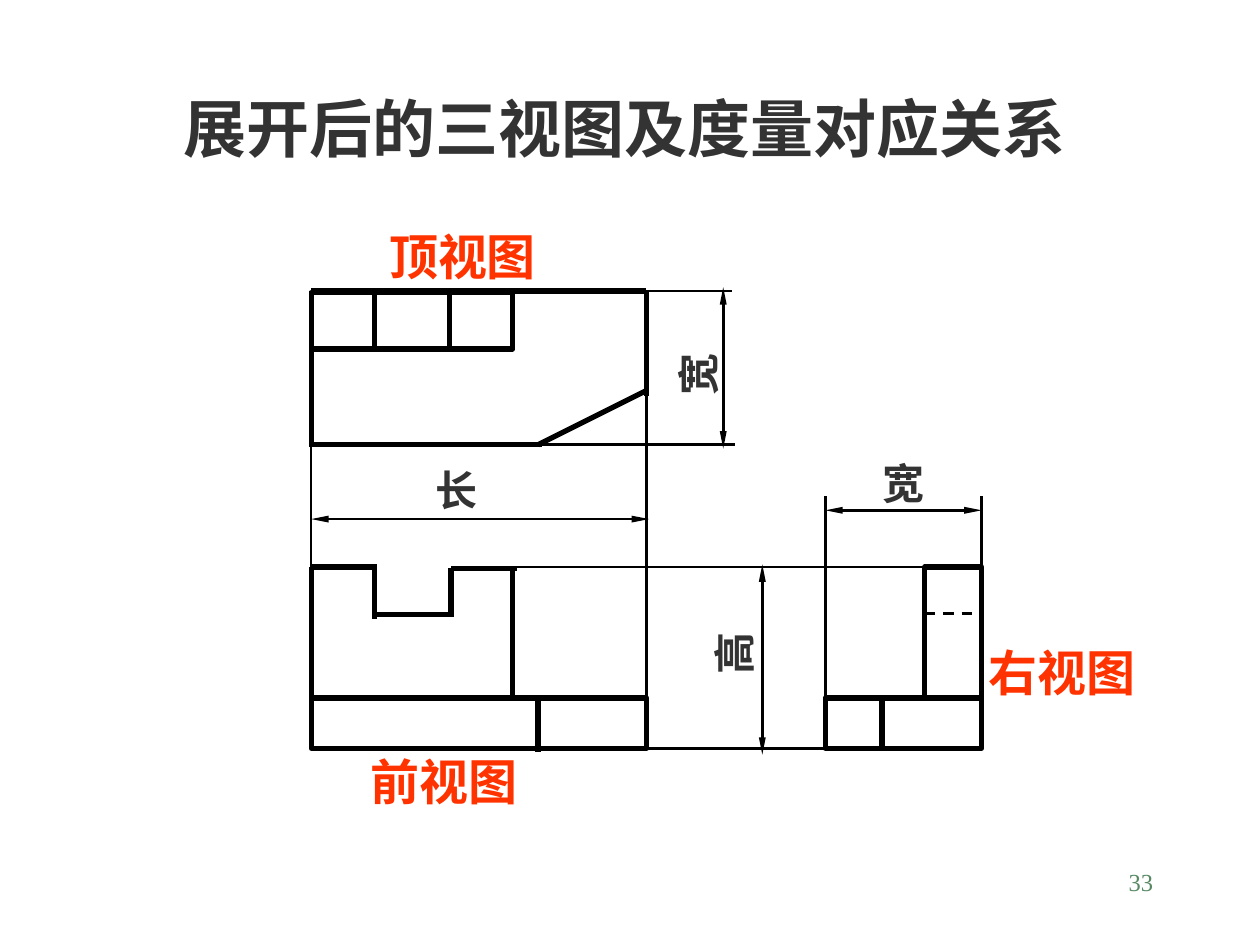
from dataclasses import dataclass

from lxml.etree import SubElement
from pptx import Presentation
from pptx.dml.color import RGBColor
from pptx.enum.dml import MSO_LINE_DASH_STYLE as Dash
from pptx.enum.shapes import MSO_CONNECTOR as Connector, MSO_SHAPE as Shape
from pptx.enum.text import MSO_ANCHOR as Anchor, PP_ALIGN as Align
from pptx.oxml.ns import qn
from pptx.util import Pt

PX = 9144  # EMU per px, 100 px to the inch


@dataclass(frozen=True)
class Theme:
    ink: str = "000000"
    text: str = "333333"
    accent: str = "FF3300"
    number: str = "578963"
    latin: str = "Times New Roman"
    cjk: str = "Noto Sans CJK SC"
    title_size: int = 36
    view_size: int = 28
    dimension_size: int = 24
    number_size: int = 14
    outline: float = 3
    thin: float = 1.5


class Drawing:
    def __init__(self, slide, theme):
        self.slide = slide
        self.theme = theme

    def line(self, x1, y1, x2, y2, width=None, dash=None, arrows=False):
        connector = self.slide.shapes.add_connector(
            Connector.STRAIGHT, x1 * PX, y1 * PX, x2 * PX, y2 * PX)
        connector.line.color.rgb = RGBColor.from_string(self.theme.ink)
        connector.line.width = Pt(width or self.theme.thin)
        if dash:
            connector.line.dash_style = dash
        if arrows:
            outline = connector.line._get_or_add_ln()
            for end in ("a:headEnd", "a:tailEnd"):
                SubElement(outline, qn(end), type="triangle", w="sm", len="lg")
        SubElement(connector._element.spPr, qn("a:effectLst"))

    def edge(self, *points):
        self.line(*points, width=self.theme.outline)

    def dimension(self, *points):
        self.line(*points, arrows=True)

    def rectangle(self, left, top, width, height):
        shape = self.slide.shapes.add_shape(
            Shape.RECTANGLE, left * PX, top * PX, width * PX, height * PX)
        shape.shadow.inherit = False
        shape.fill.background()
        shape.line.color.rgb = RGBColor.from_string(self.theme.ink)
        shape.line.width = Pt(self.theme.outline)

    def text(self, words, left, top, width, height, size, color, bold=True,
             align=Align.LEFT, anchor=Anchor.MIDDLE, wrap=True, rotation=0,
             latin=None):
        box = self.slide.shapes.add_textbox(
            left * PX, top * PX, width * PX, height * PX)
        box.rotation = rotation
        frame = box.text_frame
        frame.word_wrap = wrap
        frame.vertical_anchor = anchor
        frame.text = words
        paragraph = frame.paragraphs[0]
        paragraph.alignment = align
        font = paragraph.runs[0].font
        font.size = Pt(size)
        font.bold = bold
        font.color.rgb = RGBColor.from_string(color)
        font.name = latin or self.theme.latin
        SubElement(font._element, qn("a:ea"), typeface=self.theme.cjk)

    def view_label(self, words, left, top, width=137, **options):
        self.text(words, left, top, width, 57, self.theme.view_size,
                  self.theme.accent, **options)

    def dimension_label(self, words, left, top, rotation=0):
        self.text(words, left, top, 54, 50, self.theme.dimension_size,
                  self.theme.text, align=Align.CENTER, wrap=False,
                  rotation=rotation)


def main():
    presentation = Presentation()
    presentation.slide_width = 1000 * PX
    presentation.slide_height = 750 * PX
    slide = presentation.slides.add_slide(presentation.slide_layouts[6])
    theme = Theme()
    drawing = Drawing(slide, theme)

    # Page number
    drawing.text("33", 717, 683, 208, 50, theme.number_size, theme.number,
                 bold=False, align=Align.RIGHT, anchor=Anchor.TOP)

    # Edges shared by the views
    left, notch_left, notch_right, block_right, right = 247, 297, 358, 407, 513
    back, front = 231, 353
    top, step, bottom = 450, 554, 594
    side_left, side_step, side_right = 655, 734, 779

    # Front view
    drawing.edge(notch_left - 1, 488, notch_right + 1, 488)
    drawing.rectangle(left, step, right - left, bottom - step)
    drawing.edge(left, step, left, top)
    drawing.edge(left - 1, top, notch_left + 2, top)
    drawing.edge(notch_left, top, notch_left, 491)
    drawing.edge(notch_right, 451, notch_right, 490)
    drawing.edge(notch_right, 451, block_right + 3, 451)
    drawing.edge(block_right, top, block_right, step)
    drawing.edge(427, step, 427, 597)
    drawing.view_label("前视图", 284, 591, wrap=False, latin=theme.cjk)

    # Top view
    drawing.edge(left, back, left, front + 2)
    drawing.edge(left, front, 430, front)
    drawing.edge(left, back, right, back)
    drawing.edge(right, back - 1, right, 314)
    drawing.edge(right, 310, 427, front)
    drawing.rectangle(left, 232, block_right - left, 45)
    drawing.edge(357, 233, 357, 278)
    drawing.edge(notch_left, 232, notch_left, 277)
    drawing.view_label("顶视图", 299, 175, width=184)

    # Right view
    drawing.rectangle(side_left, step, side_right - side_left, bottom - step)
    drawing.rectangle(side_step, top, side_right - side_step, step - top)
    drawing.edge(700, bottom, 700, step)
    drawing.line(side_step, 487, side_right, 487, dash=Dash.DASH)
    drawing.view_label("右视图", 775, 505, wrap=False)

    # Length
    drawing.line(left, 351, left, 452)
    drawing.line(right, 556, right, 301)
    drawing.dimension(left, 412, right + 2, 412)
    drawing.dimension_label("长", 335, 364)

    # Height
    drawing.line(block_right, top, side_step, top)
    drawing.line(504, bottom, 671, bottom)
    drawing.dimension(605, top - 2, 605, bottom + 5)
    drawing.dimension_label("高", 555, 494, rotation=270)

    # Width, on the right view and on the top view
    drawing.line(side_left, 556, side_left, 394)
    drawing.line(side_right, 455, side_right, 394)
    drawing.dimension(side_left, 405, side_right, 405)
    drawing.line(right, back, 581, back)
    drawing.line(423, front, 583, front)
    drawing.dimension(574, back - 3, 574, front + 3)
    drawing.dimension_label("宽", 527, 272, rotation=270)
    drawing.dimension_label("宽", 690, 358)

    # Title
    drawing.text("展开后的三视图及度量对应关系", 136, 66, 795, 70,
                 theme.title_size, theme.text)

    presentation.save("out.pptx")


if __name__ == "__main__":
    main()
